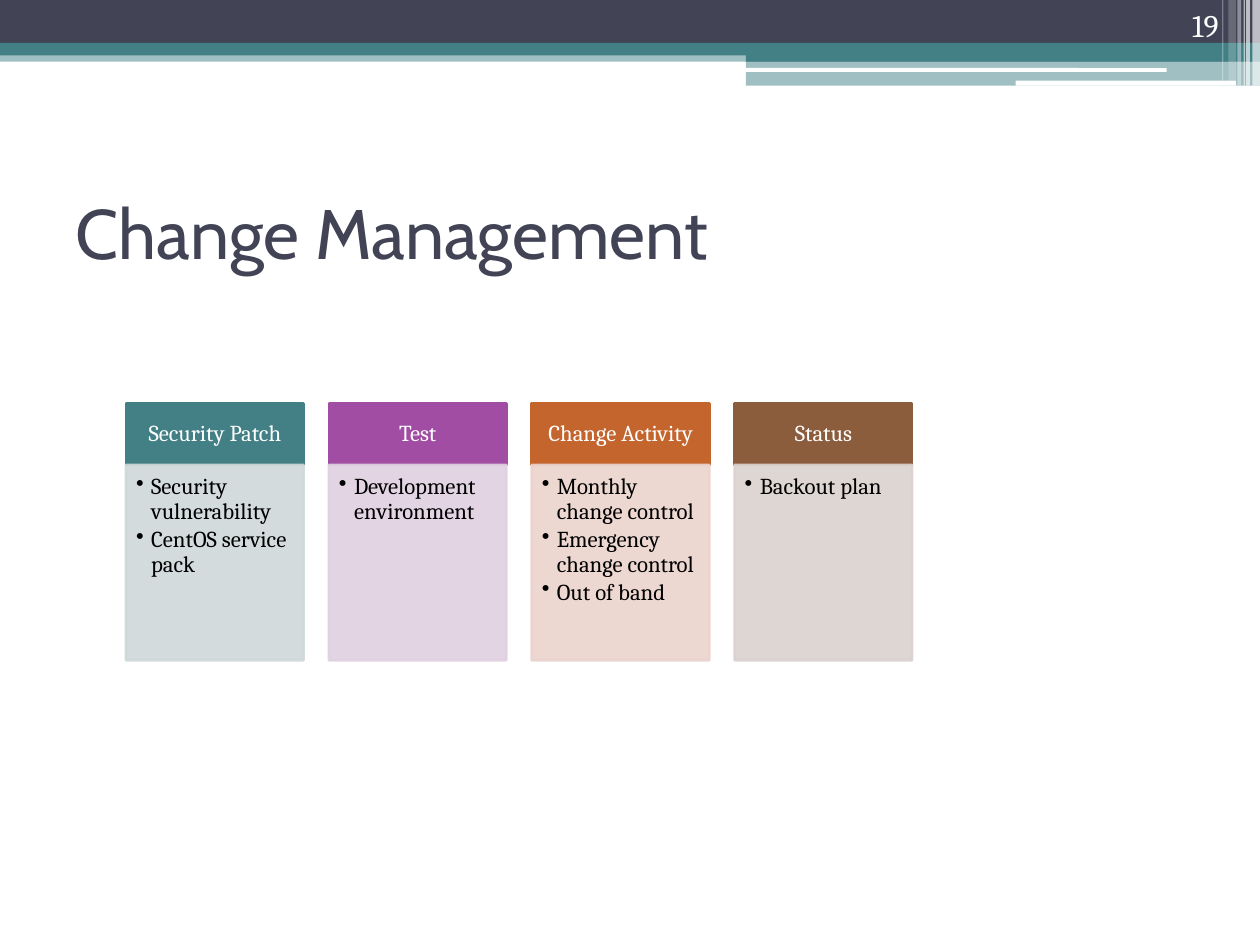
from dataclasses import dataclass

from lxml.etree import SubElement
from pptx import Presentation
from pptx.dml.color import RGBColor
from pptx.enum.shapes import MSO_SHAPE
from pptx.enum.text import MSO_ANCHOR, PP_ALIGN
from pptx.oxml.ns import qn
from pptx.util import Inches, Pt


@dataclass(frozen=True)
class Theme:
    heading_font: str = "Cabin"
    body_font: str = "Cambria"
    title_size: int = 40
    number_size: int = 18
    card_size: int = 13
    dark: str = "424456"
    teal: str = "438086"
    white: str = "FFFFFF"
    black: str = "000000"


THEME = Theme()

# left, top, width, height, colour, opacity in percent
BANDS = [
    (0, 0.4, 10, 0.09, THEME.teal, 50),
    (0, 0, 10, 0.34, THEME.dark, 100),
    (0, 0.34, 10, 0.1, THEME.teal, 100),
    (5.92, 0.39, 4.08, 0.1, THEME.teal, 100),
    (5.92, 0.48, 4.08, 0.2, THEME.teal, 50),
]
WHITE_BARS = [(5.91, 0.54, 3.35, 0.03), (8.06, 0.64, 1.75, 0.04)]

# left, width, height, opacity in percent
STRIPES = [
    (9.94, 0.06, 0.68, 65),
    (9.89, 0.03, 0.68, 65),
    (9.87, 0.01, 0.68, 60),
    (9.82, 0.03, 0.68, 40),
    (9.75, 0.06, 0.64, 20),
    (9.7, 0.01, 0.64, 30),
]

# heading, heading colour, body colour, points
CARDS = [
    ("Security Patch", "438086", "CFD8D9",
     ["Security vulnerability", "CentOS service pack"]),
    ("Test", "A04DA3", "DFD0E0", ["Development environment"]),
    ("Change Activity", "C4652D", "EAD3CD",
     ["Monthly change control", "Emergency change control", "Out of band"]),
    ("Status", "8B5D3D", "DAD2CE", ["Backout plan"]),
]
CARD_LEFT, CARD_TOP, CARD_WIDTH, CARD_PITCH = 1, 3.2, 1.41, 1.61
HEADING_HEIGHT, BODY_HEIGHT = 0.49, 1.55


class SlideBuilder:
    def __init__(self, slide, theme):
        self.slide = slide
        self.theme = theme

    def paint(self, fill, color, opacity=100):
        fill.solid()
        fill.fore_color.rgb = RGBColor.from_string(color)
        if opacity < 100:
            color_element = fill._xPr.find(".//" + qn("a:srgbClr"))
            SubElement(color_element, qn("a:alpha"), val=str(opacity * 1000))

    def style(self, paragraph, font_name, size, color, align=PP_ALIGN.LEFT):
        paragraph.alignment = align
        paragraph.font.name = font_name
        paragraph.font.size = Pt(size)
        paragraph.font.color.rgb = RGBColor.from_string(color)

    def frame(self, shape, anchor, insets=(0.1, 0.05, 0.1, 0.05)):
        """Set wrapping, anchor and insets (left, top, right, bottom)."""
        frame = shape.text_frame
        frame.word_wrap = True
        frame.vertical_anchor = anchor
        (frame.margin_left, frame.margin_top,
         frame.margin_right, frame.margin_bottom) = map(Inches, insets)
        return frame

    def box(self, left, top, width, height, color, opacity=100,
            outlined=False, kind=MSO_SHAPE.RECTANGLE):
        shape = self.slide.shapes.add_shape(
            kind, Inches(left), Inches(top), Inches(width), Inches(height))
        shape.shadow.inherit = False
        self.paint(shape.fill, color, opacity)
        if outlined:
            shape.line.width = Pt(1.5)
            self.paint(shape.line.fill, color, opacity)
        else:
            shape.line.fill.background()
        return shape

    def title(self, text, left, top, width, height):
        title = self.slide.shapes.title
        title.left, title.top = Inches(left), Inches(top)
        title.width, title.height = Inches(width), Inches(height)
        frame = self.frame(title, MSO_ANCHOR.MIDDLE)
        frame.text = text
        self.style(frame.paragraphs[0], self.theme.heading_font,
                   self.theme.title_size, self.theme.dark)

    def page_number(self, text, left, top, width, height):
        shape = self.slide.shapes.add_textbox(
            Inches(left), Inches(top), Inches(width), Inches(height))
        frame = self.frame(shape, MSO_ANCHOR.BOTTOM)
        frame.text = text
        self.style(frame.paragraphs[0], self.theme.body_font,
                   self.theme.number_size, self.theme.white, PP_ALIGN.RIGHT)

    def bullet(self, paragraph):
        properties = paragraph._p.get_or_add_pPr()
        properties.set("marL", str(Inches(0.12)))
        properties.set("indent", str(Inches(-0.12)))
        SubElement(properties, qn("a:buChar"), char="•")

    def card(self, left, heading, heading_color, body_color, points):
        header = self.box(left, CARD_TOP, CARD_WIDTH, HEADING_HEIGHT,
                          heading_color, outlined=True)
        frame = self.frame(header, MSO_ANCHOR.MIDDLE, (0.1, 0.06, 0.1, 0.06))
        frame.text = heading
        frame.paragraphs[0].line_spacing = 0.9
        self.style(frame.paragraphs[0], self.theme.body_font,
                   self.theme.card_size, self.theme.white, PP_ALIGN.CENTER)

        body = self.box(left, CARD_TOP + HEADING_HEIGHT, CARD_WIDTH,
                        BODY_HEIGHT, body_color, 90, outlined=True)
        frame = self.frame(body, MSO_ANCHOR.TOP, (0.08, 0.08, 0.1, 0.11))
        frame.text = "\n".join(points)
        for paragraph in frame.paragraphs:
            paragraph.line_spacing = 0.9
            paragraph.space_after = Pt(2)
            self.bullet(paragraph)
            self.style(paragraph, self.theme.body_font,
                       self.theme.card_size, self.theme.black)


def main():
    presentation = Presentation()
    presentation.slide_width, presentation.slide_height = Inches(10), Inches(7.5)
    slide = presentation.slides.add_slide(presentation.slide_layouts[5])
    builder = SlideBuilder(slide, THEME)

    for band in BANDS:
        builder.box(*band)
    for bar in WHITE_BARS:
        builder.box(*bar, THEME.white, kind=MSO_SHAPE.ROUNDED_RECTANGLE)
    for left, width, height, opacity in STRIPES:
        builder.box(left, 0, width, height, THEME.white, opacity)

    builder.title("Change Management", 0.5, 1.25, 9, 1.17)
    builder.page_number("19", 8.94, 0, 0.83, 0.4)
    for index, card in enumerate(CARDS):
        builder.card(CARD_LEFT + index * CARD_PITCH, *card)

    presentation.save("out.pptx")


if __name__ == "__main__":
    main()
